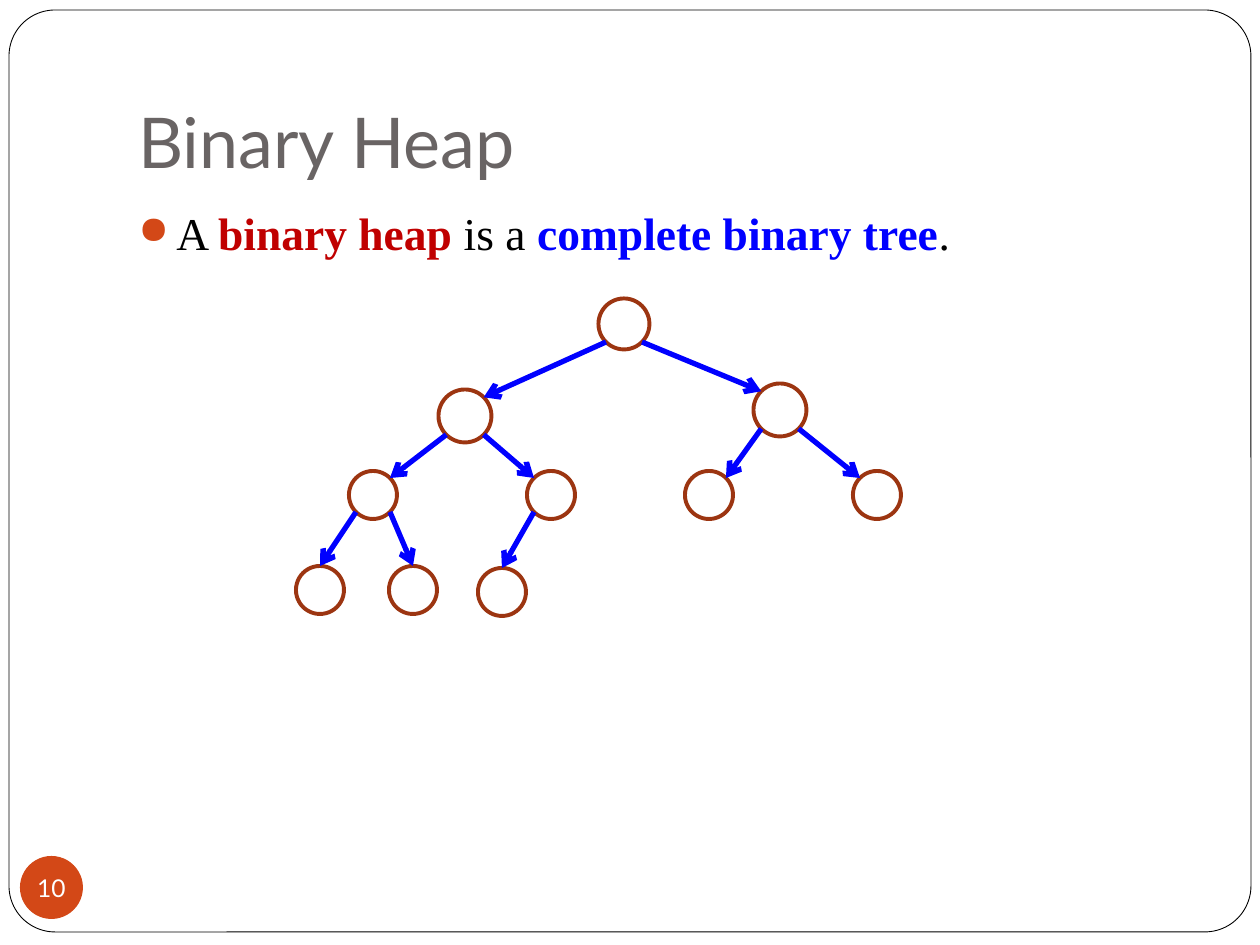
from math import sqrt
from lxml import etree
from pptx import Presentation
from pptx import util as u
from pptx.dml.color import RGBColor
from pptx.enum import shapes, text
from pptx.oxml.ns import qn


def px(n):
    return u.Emu(round(n * 914400 / 126))


def rgb(value):
    return RGBColor.from_string(value)


class Deck:
    heading, body = "Lato", "Times New Roman"
    orange, brown, blue = "D34817", "9C3511", "0000FF"
    grey, red, black, white = "696464", "C00000", "000000", "FFFFFF"

    def __init__(self, slide):
        self.s = slide

    def shape(self, kind, box, fill=None, line=None, width=1):
        sp = self.s.shapes.add_shape(kind, *map(px, box))
        sp.shadow.inherit = False
        if fill:
            sp.fill.solid()
            sp.fill.fore_color.rgb = rgb(fill)
        else:
            sp.fill.background()
        if line:
            sp.line.color.rgb = rgb(line)
            sp.line.width = u.Pt(width)
        else:
            sp.line.fill.background()
        return sp

    def textbox(self, box, **frame):
        sp = self.s.shapes.add_textbox(*map(px, box))
        return self.frame(sp, word_wrap=True, **frame)

    def frame(self, sp, **values):
        for name, value in values.items():
            setattr(sp.text_frame, name, value)
        return sp.text_frame.paragraphs[0]

    def run(self, p, words, font, size, color, bold=False):
        r = p.add_run()
        r.text = words
        style = {"name": font, "size": u.Pt(size), "bold": bold}
        for name, value in style.items():
            setattr(r.font, name, value)
        r.font.color.rgb = rgb(color)

    def bullet(self, p, indent, color, percent):
        pPr = p._p.get_or_add_pPr()
        pPr.set("marL", str(px(indent)))
        pPr.set("indent", str(-px(indent)))
        clr = etree.SubElement(pPr, qn("a:buClr"))
        etree.SubElement(clr, qn("a:srgbClr"), val=color)
        etree.SubElement(pPr, qn("a:buSzPct"), val=str(percent * 1000))
        etree.SubElement(pPr, qn("a:buChar"), char="●")

    def node(self, x, y, d):
        self.shape(shapes.MSO_SHAPE.OVAL, (x - d / 2, y - d / 2, d, d),
                   line=self.brown, width=2.25)

    def arrow(self, start, end):
        c = self.s.shapes.add_connector(shapes.MSO_CONNECTOR.STRAIGHT,
                                        *map(px, (*start, *end)))
        c.line.color.rgb = rgb(self.blue)
        c.line.width = u.Pt(3)
        etree.SubElement(c.line._get_or_add_ln(), qn("a:tailEnd"), type="arrow")
        etree.SubElement(c._element.spPr, qn("a:effectLst"))


prs = Presentation()
prs.slide_width, prs.slide_height = px(1260), px(945)
deck = Deck(prs.slides.add_slide(prs.slide_layouts[6]))

# Rounded frame
border = deck.shape(shapes.MSO_SHAPE.ROUNDED_RECTANGLE, (9, 10, 1242, 922),
                    deck.white, deck.black, 0.5)
border.adjustments[0] = 0.05

# Title
p = deck.textbox((126, 38, 1071, 157), margin_bottom=u.Inches(0.1),
                 vertical_anchor=text.MSO_ANCHOR.BOTTOM)
deck.run(p, "Binary Heap", deck.heading, 40, deck.grey)

# Slide number
badge = deck.shape(shapes.MSO_SHAPE.OVAL, (20, 856, 63, 63), deck.orange)
p = deck.frame(badge, word_wrap=False, vertical_anchor=text.MSO_ANCHOR.MIDDLE,
               margin_left=0, margin_right=0, margin_top=0, margin_bottom=0)
p.alignment = text.PP_ALIGN.CENTER
deck.run(p, "10", deck.heading, 14, deck.white)

# Definition
p = deck.textbox((126, 199, 1071, 630))
p.space_before = u.Pt(5.8)
deck.bullet(p, 38, deck.orange, 85)
for words, color, bold in [("A ", deck.black, False),
                           ("binary heap", deck.red, True),
                           (" is a ", deck.black, False),
                           ("complete binary tree", deck.blue, True),
                           (".", deck.black, False)]:
    deck.run(p, words, deck.body, 26, color, bold)

# Tree nodes in level order: centre x, centre y, diameter
nodes = [(624, 324, 51),
         (465, 416, 53), (780, 410, 53),
         (373, 495, 48), (551, 495, 48), (709, 495, 48), (877, 495, 48),
         (320, 590, 48), (413, 590, 48), (502, 592, 48)]
first_leaf = 7
for node in nodes:
    deck.node(*node)

# Edges: the parent of node i is node (i - 1) // 2
for i, (x, y, d) in enumerate(nodes[1:], 1):
    px_, py_, pd = nodes[(i - 1) // 2]
    side = -1 if i % 2 else 1
    out, into = pd / sqrt(8), d / sqrt(8)
    start = (px_ + side * out, py_ + out)
    end = (x, y - d / 2) if i >= first_leaf else (x - side * into, y - into)
    deck.arrow(start, end)

prs.save("out.pptx")
